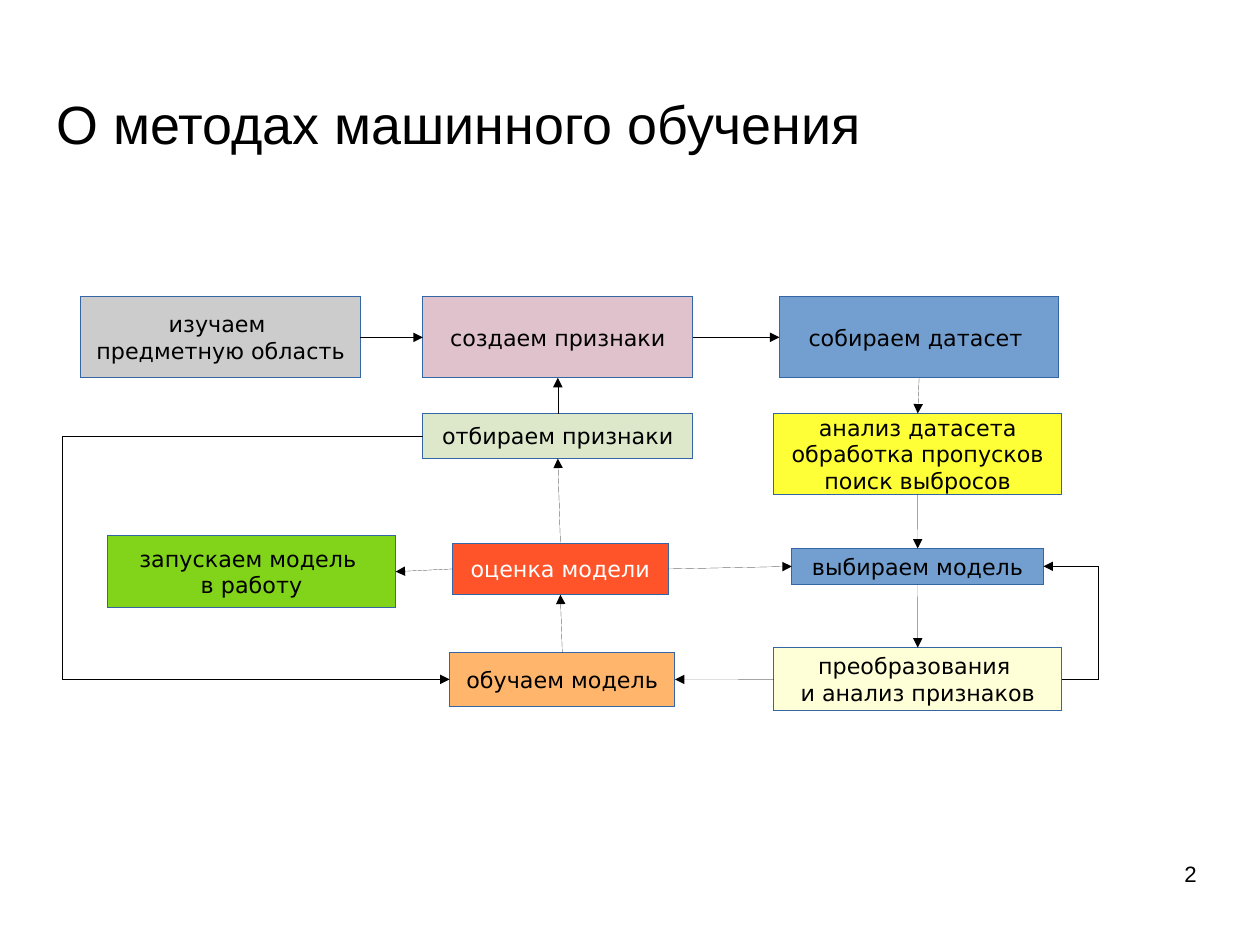
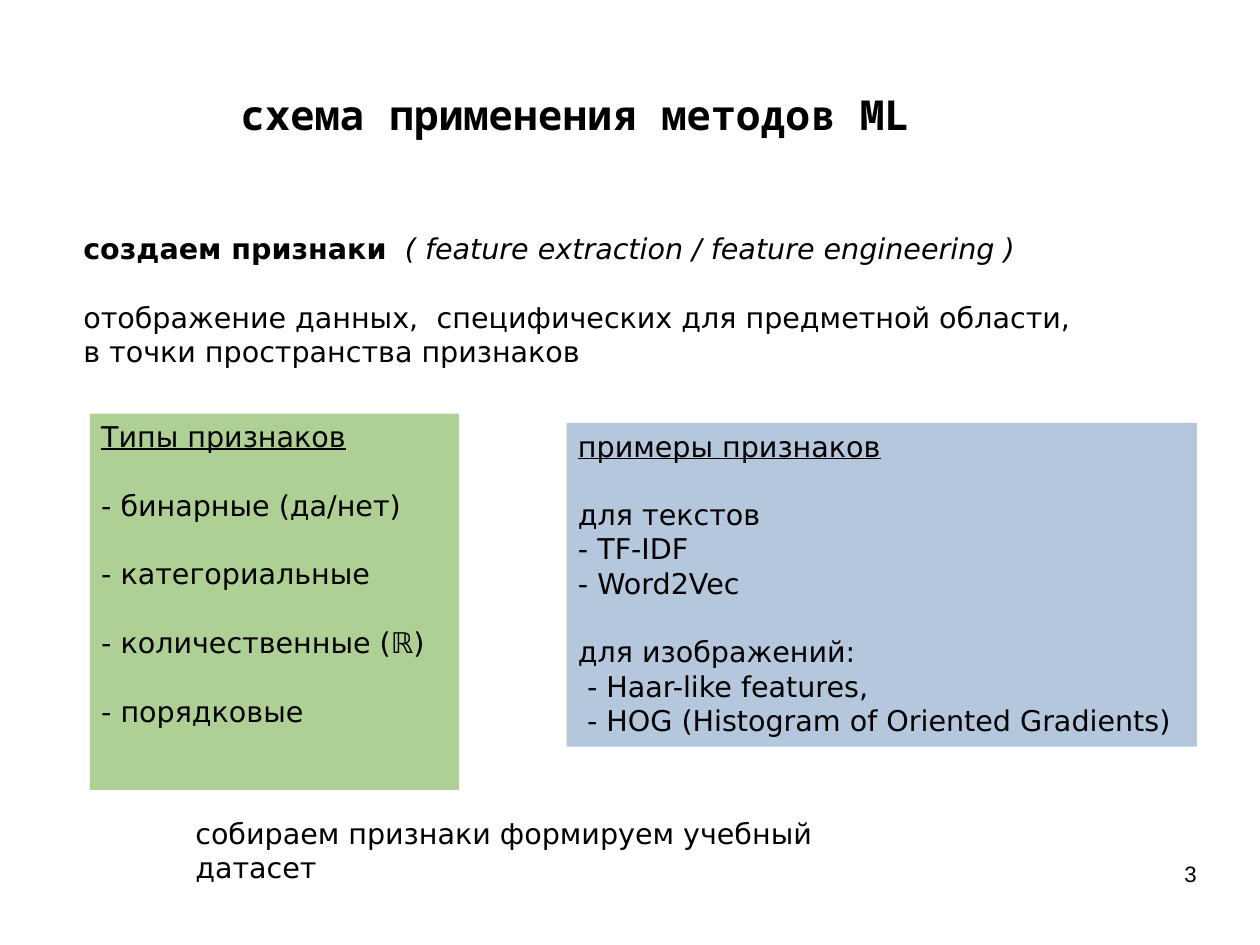
import pptx
import pptx.dml.color
import pptx.enum.shapes
import pptx.enum.text
import pptx.oxml.ns
import pptx.util
import lxml.etree

Pt = pptx.util.Pt
RGBColor = pptx.dml.color.RGBColor
ALIGN = pptx.enum.text.PP_ALIGN
ANCHOR = pptx.enum.text.MSO_ANCHOR
CONNECTOR = pptx.enum.shapes.MSO_CONNECTOR
RECTANGLE = pptx.enum.shapes.MSO_SHAPE.RECTANGLE

BLACK = RGBColor(0x00, 0x00, 0x00)
WHITE = RGBColor(0xFF, 0xFF, 0xFF)
OUTLINE = RGBColor(0x34, 0x65, 0xA4)
GREY = RGBColor(0xCC, 0xCC, 0xCC)
PINK = RGBColor(0xE0, 0xC2, 0xCD)
BLUE = RGBColor(0x72, 0x9F, 0xCF)
CREAM = RGBColor(0xFF, 0xFF, 0xD7)
PALE_GREEN = RGBColor(0xDD, 0xE8, 0xCB)
RED = RGBColor(0xFF, 0x54, 0x29)
ORANGE = RGBColor(0xFF, 0xB6, 0x6C)
LIME = RGBColor(0x81, 0xD4, 0x1A)
YELLOW = RGBColor(0xFF, 0xFF, 0x38)
PANEL_BLUE = RGBColor(0xB4, 0xC7, 0xDC)
PANEL_GREEN = RGBColor(0xAF, 0xD0, 0x95)

TOP, LEFT, BOTTOM, RIGHT = range(4)
SANS = "DejaVu Sans"
GAP = 21.6
SPACE_WIDTH = 5.7
POINTS_PER_CM = 72 / 2.54


def add_xml(parent, tag, **attributes):
    return lxml.etree.SubElement(parent, pptx.oxml.ns.qn(tag), **attributes)


def line(*spans, gap=0, indent=0, **font):
    pairs = [(span, font) if isinstance(span, str) else span for span in spans]
    return {"spans": pairs, "gap": gap, "indent": indent}


WIDE_SPACE = (" ", {"spacing": SPACE_WIDTH})


class SlideWriter:
    def __init__(self, width, height):
        self.deck = pptx.Presentation()
        self.deck.slide_width = Pt(width)
        self.deck.slide_height = Pt(height)
        self.slide = None

    def new_slide(self, number):
        self.slide = self.deck.slides.add_slide(self.deck.slide_layouts[6])
        self.text((568.8, 542, 185, 41), [line(str(number))], size=14,
                  name="Arial", align=ALIGN.RIGHT, inset=(0, 0))

    def fill_text(self, shape, lines, size=18, name=SANS, color=BLACK,
                  align=ALIGN.LEFT, anchor=ANCHOR.TOP, inset=(7.2, 3.6), wrap=True):
        frame = shape.text_frame
        side, edge = (Pt(value) for value in inset)
        frame_format = {"word_wrap": wrap, "vertical_anchor": anchor,
                        "margin_left": side, "margin_right": side,
                        "margin_top": edge, "margin_bottom": edge}
        for key, value in frame_format.items():
            setattr(frame, key, value)
        for index, item in enumerate(lines):
            para = frame.add_paragraph() if index else frame.paragraphs[0]
            para.alignment = align
            if item["gap"]:
                para.space_before = Pt(item["gap"])
            if item["indent"]:
                para._p.get_or_add_pPr().set("marL", str(Pt(item["indent"])))
            for text, font in item["spans"]:
                span = para.add_run()
                span.text = text
                span.font.color.rgb = color
                for key, value in {"size": Pt(size), "name": name, **font}.items():
                    if key == "spacing":
                        span._r.get_or_add_rPr().set("spc", str(round(value * 100)))
                    else:
                        setattr(span.font, key, value)

    def text(self, place, lines, **style):
        box = self.slide.shapes.add_textbox(*map(Pt, place))
        self.fill_text(box, lines, **style)

    def title(self, place, text, size, name, bold=False):
        self.text(place, [line(text, bold=bold)], size=size, name=name,
                  align=ALIGN.CENTER, anchor=ANCHOR.MIDDLE, inset=(0, 0))

    def rectangle(self, place, fill):
        box = self.slide.shapes.add_shape(RECTANGLE, *map(Pt, place))
        box.shadow.inherit = False
        box.fill.solid()
        box.fill.fore_color.rgb = fill
        box.line.fill.background()
        return box

    def hairline(self, shape, color):
        shape.line.color.rgb = color
        outline = shape.line._get_or_add_ln()
        outline.set("w", "0")
        return outline

    def panel(self, place, fill, lines):
        self.fill_text(self.rectangle(place, fill), lines)

    def step(self, place, fill, *texts, color=BLACK):
        box = self.rectangle(place, fill)
        self.hairline(box, OUTLINE)
        self.fill_text(box, [line(text) for text in texts], size=14, color=color,
                       align=ALIGN.CENTER, anchor=ANCHOR.MIDDLE, wrap=False)
        return box

    def arrow(self, start, start_side, end, end_side, bend_x=None):
        kind = CONNECTOR.STRAIGHT if bend_x is None else CONNECTOR.ELBOW
        link = self.slide.shapes.add_connector(kind, 0, 0, 0, 0)
        link.begin_connect(start, start_side)
        link.end_connect(end, end_side)
        add_xml(self.hairline(link, BLACK), "a:tailEnd", type="triangle")
        properties = link._element.spPr
        add_xml(properties, "a:effectLst")
        if bend_x is not None:
            ratio = (Pt(bend_x) - link.begin_x) / (link.end_x - link.begin_x)
            guides = properties.find(pptx.oxml.ns.qn("a:prstGeom")).get_or_add_avLst()
            add_xml(guides, "a:gd", name="adj1", fmla=f"val {round(ratio * 100000)}")


def build_workflow(writer):
    writer.new_slide(2)
    writer.title((11.3, 58.4, 556, 38), "О методах машинного обучения", 33.9, "Arial")

    study = writer.step((51, 187, 176, 51), GREY, "изучаем ", "предметную область")
    create = writer.step((266.4, 187, 170, 51), PINK, "создаем признаки")
    collect = writer.step((491, 187, 176, 51), BLUE, "собираем датасет ")
    select = writer.step((266.4, 260.5, 170, 28.4), PALE_GREEN, "отбираем признаки")
    analyse = writer.step((487.4, 260.5, 181.5, 51), YELLOW, "анализ датасета",
                          "обработка пропусков", "поиск выбросов")
    launch = writer.step((67.7, 337.4, 181.5, 45.4), LIME, "запускаем модель ",
                         "в работу")
    assess = writer.step((285, 342.2, 136, 32.4), RED, "оценка модели", color=WHITE)
    choose = writer.step((498.8, 345.5, 158.5, 22.6), BLUE, "выбираем модель")
    train = writer.step((283.2, 411, 142, 34), ORANGE, "обучаем модель")
    transform = writer.step((487.4, 408, 181.5, 39.8), CREAM, "преобразования ",
                            "и анализ признаков")

    for link in (
        (study, RIGHT, create, LEFT),
        (create, RIGHT, collect, LEFT),
        (collect, BOTTOM, analyse, TOP),
        (analyse, BOTTOM, choose, TOP),
        (choose, BOTTOM, transform, TOP),
        (transform, LEFT, train, RIGHT),
        (train, TOP, assess, BOTTOM),
        (assess, RIGHT, choose, LEFT),
        (assess, LEFT, launch, RIGHT),
        (assess, TOP, select, BOTTOM),
        (select, TOP, create, BOTTOM),
        (transform, RIGHT, choose, RIGHT, 692),
        (select, LEFT, train, LEFT, 39.5),
    ):
        writer.arrow(*link)


def build_features(writer):
    writer.new_slide(3)
    writer.title((22.5, 52.5, 680, 38), "схема применения методов ML", 26,
                 "Noto Sans Mono", bold=True)
    writer.text((45.4, 142, 703, 102), [
        line(("создаем признаки", {"bold": True}), WIDE_SPACE,
             ("( feature extraction / feature engineering )", {"italic": True})),
        line("отображение данных,", WIDE_SPACE,
             "специфических для предметной области,", gap=GAP),
        line("в точки пространства признаков"),
    ])
    kinds = ("бинарные (да/нет)", "категориальные", "количественные (ℝ)", "порядковые")
    writer.panel((56.7, 260.5, 232.5, 237), PANEL_GREEN,
                 [line("Типы признаков", underline=True)]
                 + [line(f"- {kind}", gap=GAP) for kind in kinds])
    writer.panel((357, 266.4, 397, 204), PANEL_BLUE, [
        line("примеры признаков", underline=True),
        line("для текстов", gap=GAP),
        line("- TF-IDF"),
        line("- Word2Vec"),
        line("для изображений:", gap=GAP),
        line("- Haar-like features,", indent=SPACE_WIDTH),
        line("- HOG (Histogram of Oriented Gradients)", indent=SPACE_WIDTH),
    ])
    writer.text((116, 510.2, 484.5, 49),
                [line("собираем признаки формируем учебный датасет")])


def main():
    writer = SlideWriter(28 * POINTS_PER_CM, 21 * POINTS_PER_CM)
    build_workflow(writer)
    build_features(writer)
    writer.deck.save("out.pptx")


if __name__ == "__main__":
    main()
